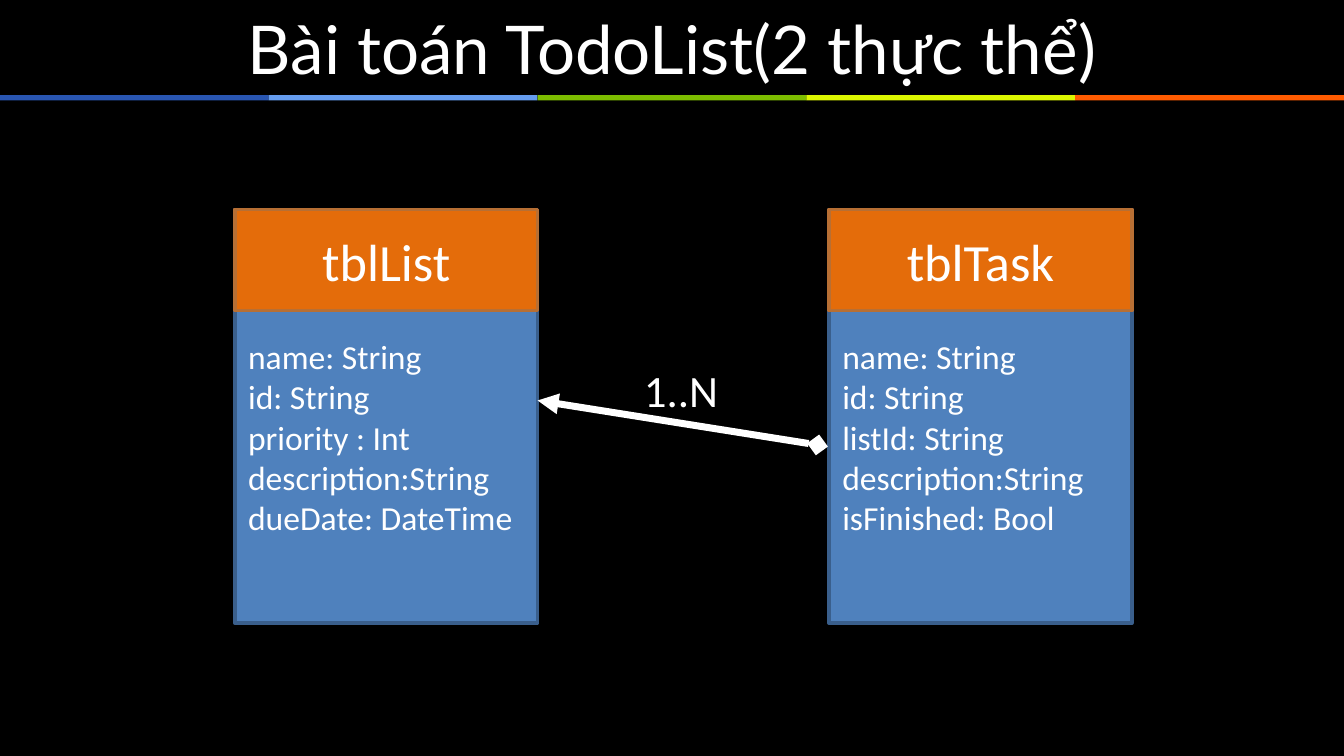
from dataclasses import dataclass

from lxml.etree import SubElement
from pptx import Presentation
from pptx.dml.color import RGBColor
from pptx.enum.shapes import MSO_CONNECTOR, MSO_SHAPE
from pptx.enum.text import MSO_ANCHOR, PP_ALIGN
from pptx.oxml.ns import qn
from pptx.shapes.autoshape import Shape
from pptx.slide import Slide
from pptx.util import Cm, Pt

BLACK = RGBColor(0x00, 0x00, 0x00)
WHITE = RGBColor(0xFF, 0xFF, 0xFF)
BODY_FILL = RGBColor(0x4F, 0x81, 0xBD)
BODY_LINE = RGBColor(0x3A, 0x5F, 0x8C)
HEADER_FILL = RGBColor(0xE4, 0x6C, 0x0A)
HEADER_LINE = RGBColor(0xB7, 0x6F, 0x34)
STRIPE_COLORS = (
    RGBColor(0x29, 0x56, 0xB2),
    RGBColor(0x65, 0x9C, 0xEF),
    RGBColor(0x7D, 0xBD, 0x00),
    RGBColor(0xDC, 0xF6, 0x00),
    RGBColor(0xFF, 0x5B, 0x00),
)

SLIDE_WIDTH, SLIDE_HEIGHT = 25.4, 14.29
ENTITY_TOP, ENTITY_WIDTH = 3.96, 5.72
BODY_HEIGHT, HEADER_HEIGHT = 7.82, 1.91


@dataclass(frozen=True)
class Entity:
    name: str
    left: float
    fields: tuple[str, ...]


ENTITIES = (
    Entity("tblList", 4.44, (
        "name: String", "id: String", "priority : Int",
        "description:String", "dueDate: DateTime")),
    Entity("tblTask", 15.67, (
        "name: String", "id: String", "listId: String",
        "description:String", "isFinished: Bool")),
)


def write_text(shape: Shape, *lines: str, size: float, font: str = "Calibri",
               color: RGBColor = WHITE, align: PP_ALIGN = PP_ALIGN.LEFT,
               anchor: MSO_ANCHOR = MSO_ANCHOR.MIDDLE, wrap: bool = True,
               margin_top: float = 0.13) -> None:
    frame = shape.text_frame
    frame.word_wrap = wrap
    frame.vertical_anchor = anchor
    frame.margin_top = Cm(margin_top)
    frame.text = "\n".join(lines)
    for paragraph in frame.paragraphs:
        paragraph.alignment = align
        paragraph.font.size = Pt(size)
        paragraph.font.name = font
        paragraph.font.color.rgb = color


def add_box(slide: Slide, left: float, top: float, width: float, height: float,
            fill: RGBColor, line: RGBColor | None = None) -> Shape:
    """Add a flat rectangle, measured in centimetres."""
    box = slide.shapes.add_shape(
        MSO_SHAPE.RECTANGLE, Cm(left), Cm(top), Cm(width), Cm(height))
    box.shadow.inherit = False
    box.fill.solid()
    box.fill.fore_color.rgb = fill
    if line is None:
        box.line.fill.background()
    else:
        box.line.color.rgb = line
        box.line.width = Pt(2)
    return box


def add_stripes(slide: Slide) -> None:
    width = SLIDE_WIDTH / len(STRIPE_COLORS)
    for index, color in enumerate(STRIPE_COLORS):
        add_box(slide, index * width, 1.8, width, 0.1, color)


def add_entity(slide: Slide, entity: Entity) -> None:
    body = add_box(slide, entity.left, ENTITY_TOP, ENTITY_WIDTH, BODY_HEIGHT,
                   BODY_FILL, BODY_LINE)
    write_text(body, *entity.fields, size=18, margin_top=0.89)
    header = add_box(slide, entity.left, ENTITY_TOP, ENTITY_WIDTH, HEADER_HEIGHT,
                     HEADER_FILL, HEADER_LINE)
    write_text(header, entity.name, size=28, align=PP_ALIGN.CENTER)


def add_relation(slide: Slide) -> None:
    """Link the two entities, with a triangle at the list and a diamond at the task."""
    relation = slide.shapes.add_connector(
        MSO_CONNECTOR.STRAIGHT, Cm(10.16), Cm(7.57), Cm(15.45), Cm(8.41))
    relation.line.color.rgb = WHITE
    relation.line.width = Pt(3.75)
    line = relation.line._get_or_add_ln()
    SubElement(line, qn("a:headEnd"), type="triangle")
    SubElement(line, qn("a:tailEnd"), type="diamond")
    SubElement(relation._element.spPr, qn("a:effectLst"))

    cardinality = slide.shapes.add_textbox(Cm(11.92), Cm(6.73), Cm(1.93), Cm(1.28))
    write_text(cardinality, "1..N", size=24, anchor=MSO_ANCHOR.TOP, wrap=False)


def main() -> None:
    presentation = Presentation()
    presentation.slide_width = Cm(SLIDE_WIDTH)
    presentation.slide_height = Cm(SLIDE_HEIGHT)
    slide = presentation.slides.add_slide(presentation.slide_layouts[6])
    slide.background.fill.solid()
    slide.background.fill.fore_color.rgb = BLACK

    add_stripes(slide)
    title = slide.shapes.add_textbox(Cm(0.64), Cm(0.15), Cm(24.13), Cm(1.5))
    write_text(title, "Bài toán TodoList(2 thực thể)", size=36, font="Lato",
               align=PP_ALIGN.CENTER)
    for entity in ENTITIES:
        add_entity(slide, entity)
    add_relation(slide)

    presentation.save("out.pptx")


if __name__ == "__main__":
    main()
